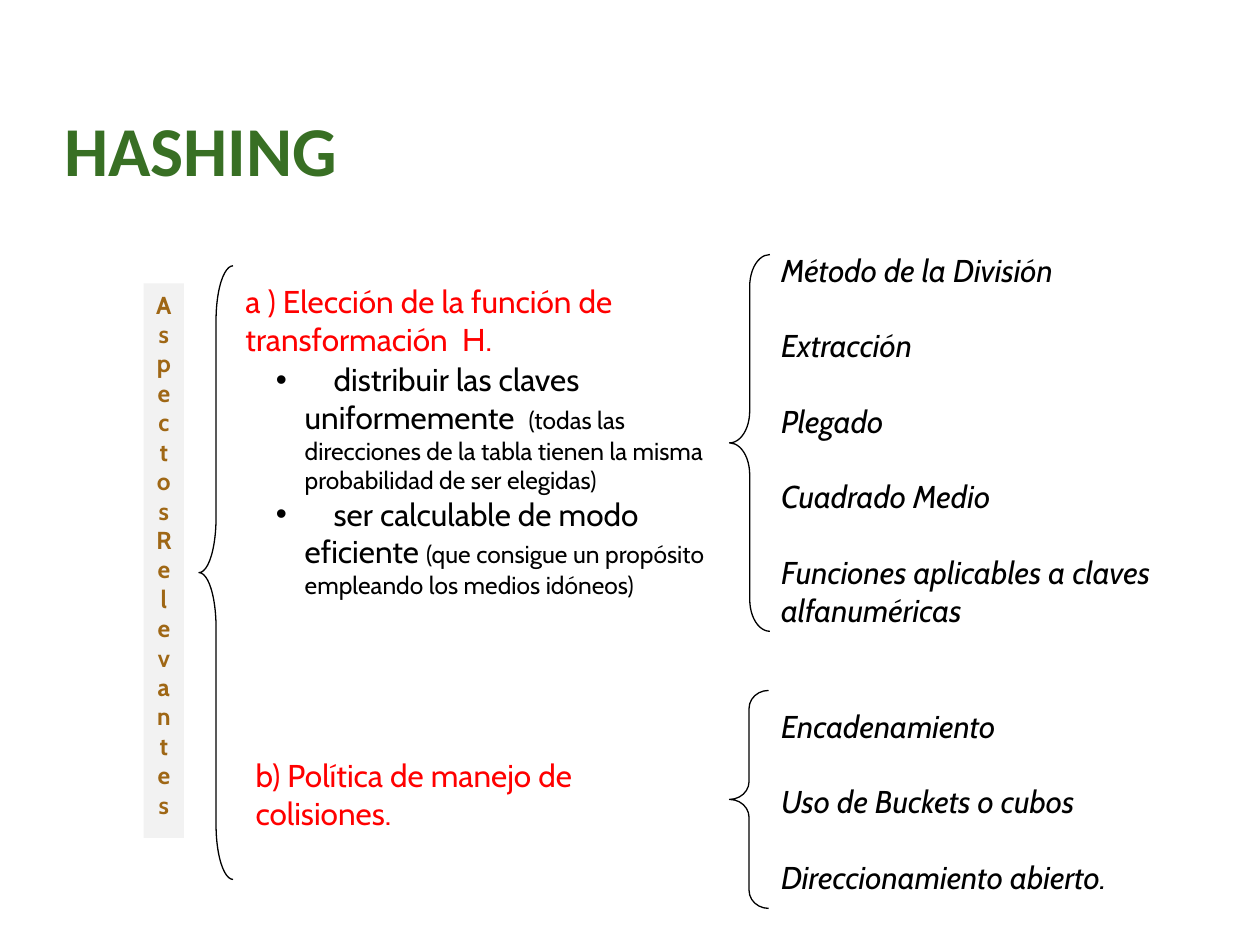
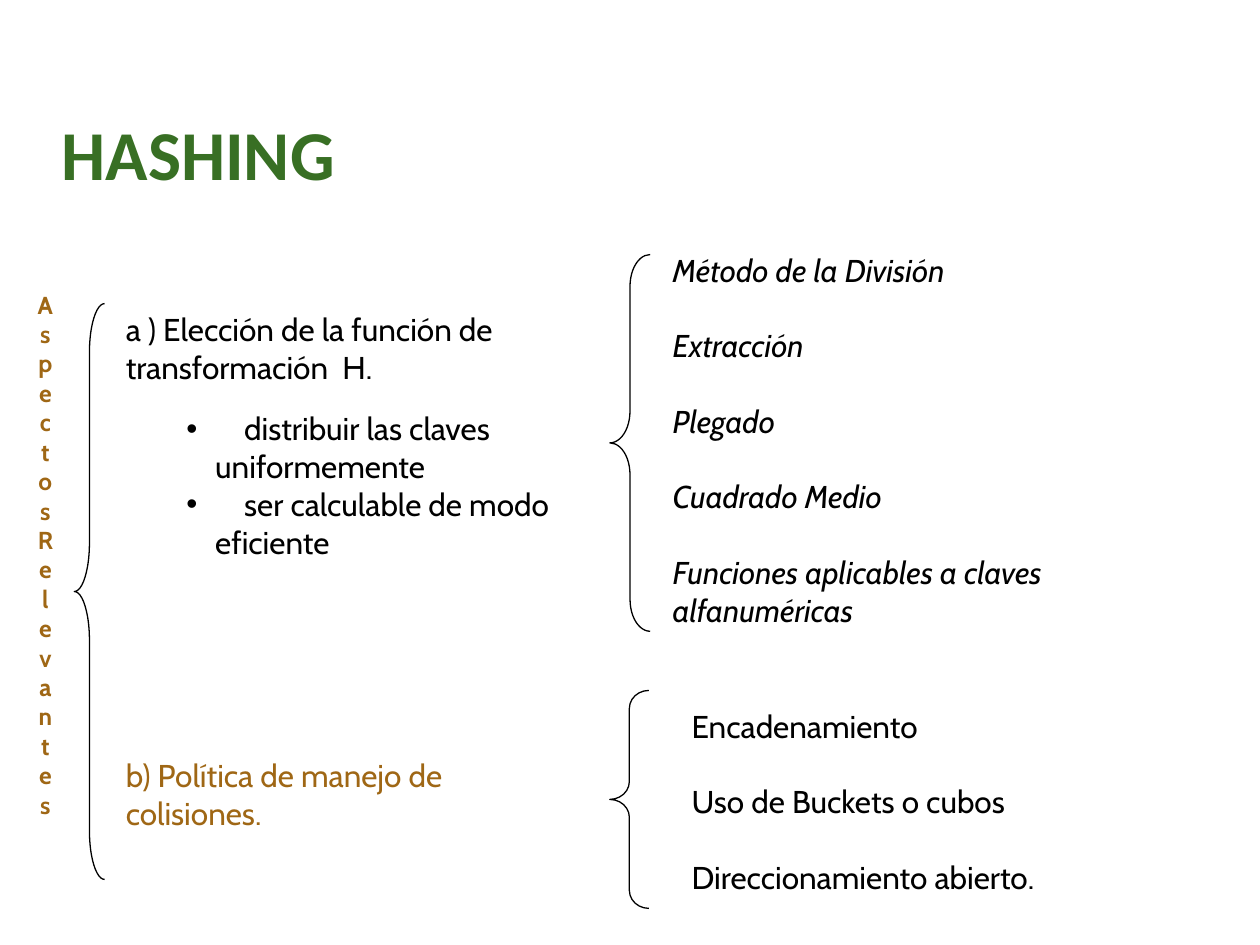
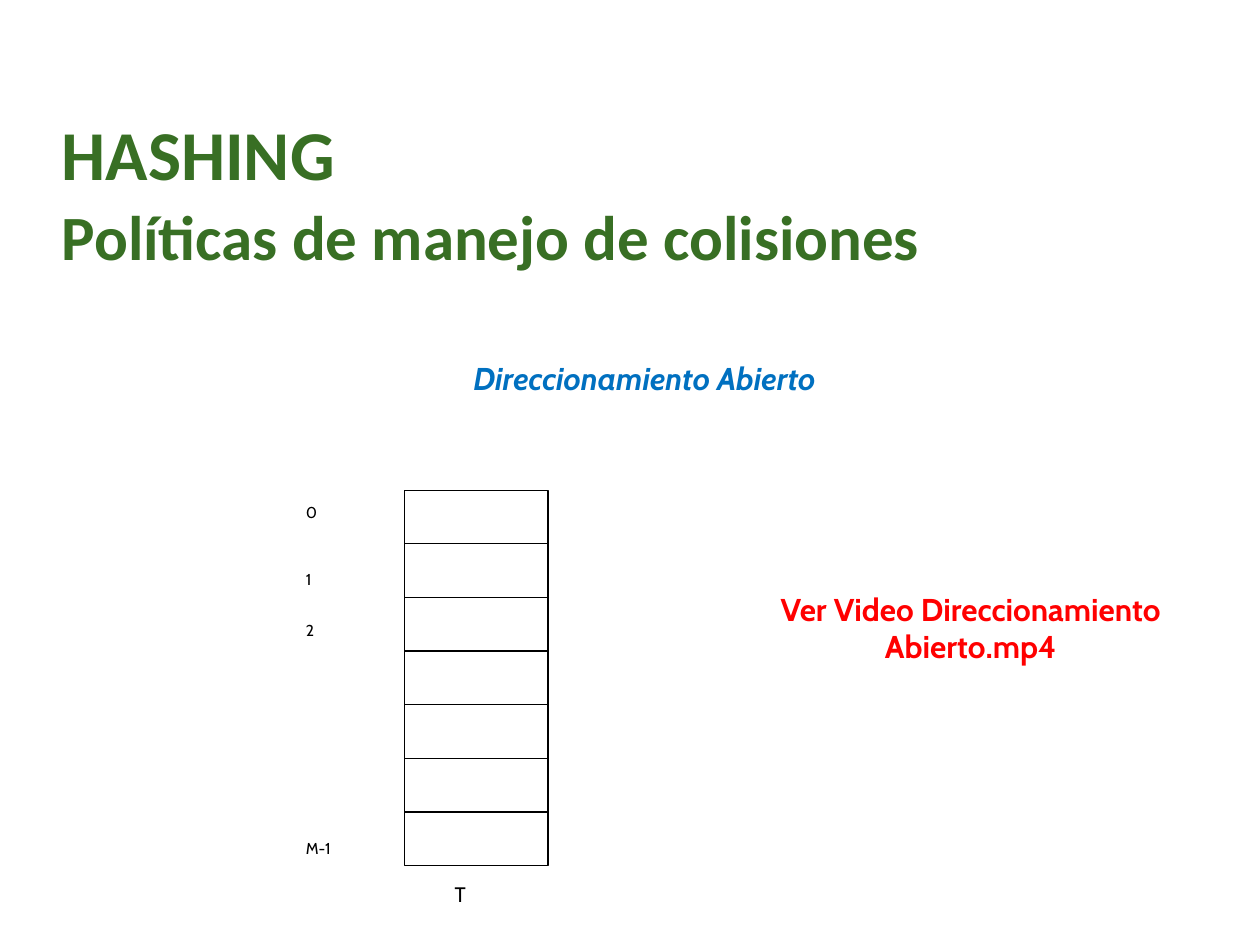
from lxml.etree import SubElement
from pptx import Presentation
from pptx.dml.color import RGBColor
from pptx.enum.shapes import MSO_CONNECTOR, MSO_SHAPE
from pptx.enum.text import MSO_ANCHOR, MSO_AUTO_SIZE, PP_ALIGN
from pptx.oxml.ns import qn
from pptx.util import Inches, Pt

# Shared style
BODY_FONT, TITLE_FONT = "Cabin", "Calibri"
GREEN, BROWN, RED, BLUE = "386F24", "9F6715", "FF0000", "0070C0"
BLACK, GREY = "000000", "F2F2F2"
LIST_GAP = 21.6

# Wording used on both outline slides
ASPECTS = ["Aspectos", "Relevantes"]
CHOICE = "a ) Elección de la función de transformación  H."
POLICY = "b) Política de manejo de colisiones."
METHODS = ["Método de la División", "Extracción", "Plegado", "Cuadrado Medio",
           "Funciones aplicables a claves alfanuméricas"]
POLICIES = ["Encadenamiento", "Uso de Buckets o cubos", "Direccionamiento abierto."]


def color(value):
    return RGBColor.from_string(value)


def inches(box):
    return [Inches(v) for v in box]


def add_run(p, text, size, font=BODY_FONT, fill=BLACK, bold=False, italic=False):
    r = p.add_run()
    r.text = text
    r.font.name, r.font.size = font, Pt(size)
    r.font.bold, r.font.italic = bold, italic
    r.font.color.rgb = color(fill)


def set_bullet(p):
    """Hanging bullet; tab stops set the first line in further than the rest."""
    pPr = p._p.get_or_add_pPr()
    pPr.set("marL", str(Inches(0.23)))
    pPr.set("indent", str(-Inches(0.23)))
    SubElement(pPr, qn("a:buFont"), typeface="Arial")
    SubElement(pPr, qn("a:buChar"), char="•")
    tabs = SubElement(pPr, qn("a:tabLst"))
    for pos in (0.22, 0.46):
        SubElement(tabs, qn("a:tab"), pos=str(Inches(pos)), algn="l")


def add_text(shapes, box, paragraphs, size=18, align=PP_ALIGN.LEFT, gap=0,
             bullet=False, back=None, **fmt):
    """Each paragraph is a string or a list of (text, size) runs."""
    sp = shapes.add_textbox(*inches(box))
    if back:
        sp.fill.solid()
        sp.fill.fore_color.rgb = color(back)
    tf = sp.text_frame
    tf.word_wrap = True
    for i, runs in enumerate(paragraphs):
        p = tf.add_paragraph() if i else tf.paragraphs[0]
        p.alignment = align
        if i and gap:
            p.space_before = Pt(gap)
        if bullet:
            set_bullet(p)
        for text, run_size in [(runs, size)] if isinstance(runs, str) else runs:
            add_run(p, text, run_size, **fmt)
    return sp


def add_title(s, box, subtitle=None):
    sp = s.shapes.title
    sp.left, sp.top, sp.width, sp.height = inches(box)
    tf = sp.text_frame
    tf.margin_left = tf.margin_right = tf.margin_top = tf.margin_bottom = 0
    tf.vertical_anchor = MSO_ANCHOR.BOTTOM
    tf.auto_size = MSO_AUTO_SIZE.NONE
    lines = [("HASHING", 40)] + ([(subtitle, 36)] if subtitle else [])
    for i, (text, size) in enumerate(lines):
        p = tf.add_paragraph() if i else tf.paragraphs[0]
        p.alignment = PP_ALIGN.LEFT
        if i:
            p.space_before = Pt(2)
        add_run(p, text, size, font=TITLE_FONT, fill=GREEN, bold=True)


def add_outline(shapes, kind, box):
    sp = shapes.add_shape(kind, *inches(box))
    sp.shadow.inherit = False
    sp.fill.background()
    sp.line.color.rgb = color(BLACK)
    sp.line.width = Pt(0.75)
    return sp


def add_brace(s, box, curve):
    sp = add_outline(s.shapes, MSO_SHAPE.LEFT_BRACE, box)
    sp.adjustments[0], sp.adjustments[1] = curve, 0.5


def add_rule(shapes, x1, x2, y):
    c = shapes.add_connector(MSO_CONNECTOR.STRAIGHT, *inches((x1, y, x2, y)))
    c.line.color.rgb = color(BLACK)
    c.line.width = Pt(0.75)
    SubElement(c._element.spPr, qn("a:effectLst"))


def add_aspects(s, left, back=None):
    add_text(s.shapes, (left, 2.25, 0.32, 4.4), ASPECTS, size=14,
             align=PP_ALIGN.CENTER, back=back, fill=BROWN, bold=True)


def add_options(s, brace_left, methods_left, policies_left, italic_policies):
    """Right-hand lists, each with its brace."""
    add_text(s.shapes, (methods_left, 1.94, 4.41, 3.1), METHODS, gap=LIST_GAP, italic=True)
    add_text(s.shapes, (policies_left, 5.56, 4.41, 1.6), POLICIES, gap=LIST_GAP,
             italic=italic_policies)
    add_brace(s, (brace_left, 2.02, 0.32, 2.99), 0.79)
    add_brace(s, (brace_left, 5.48, 0.31, 1.73), 0.46)


def build_detailed_outline(s):
    add_title(s, (0.51, 0.84, 9.03, 0.67))
    add_aspects(s, 1.14, back=GREY)
    add_text(s.shapes, (1.85, 2.19, 3.86, 0.7), [CHOICE], fill=RED)
    add_text(s.shapes, (1.93, 5.95, 3.23, 0.7), [POLICY], fill=RED)
    add_text(s.shapes, (2.09, 2.81, 3.62, 2.17), [
        [("\tdistribuir las claves uniformemente  ", 18),
         ("(todas las direcciones de la tabla tienen la misma probabilidad "
          "de ser elegidas)", 14)],
        [("\tser calculable de modo eficiente ", 18),
         ("(que consigue un propósito empleando los medios idóneos)", 14)],
    ], bullet=True)
    add_options(s, 5.79, 6.1, 6.1, italic_policies=True)
    add_brace(s, (1.58, 2.11, 0.27, 4.87), 1.61)


def build_short_outline(s):
    add_title(s, (0.49, 0.87, 9.03, 0.67))
    add_aspects(s, 0.2)
    add_text(s.shapes, (0.9, 2.41, 3.86, 0.7), [CHOICE])
    add_text(s.shapes, (0.9, 5.95, 3.23, 0.7), [POLICY], fill=BROWN)
    add_text(s.shapes, (1.38, 3.2, 3.62, 1.45),
             ["\tdistribuir las claves uniformemente",
              "\tser calculable de modo eficiente"], bullet=True)
    add_options(s, 4.84, 5.24, 5.39, italic_policies=False)
    add_brace(s, (0.59, 2.41, 0.24, 4.57), 1.61)


def add_hash_table(s):
    """Table T: a frame cut into equal slots, with index labels."""
    left, top, width, height, slots = 3.21, 3.89, 1.14, 2.98, 7
    shapes = s.shapes.add_group_shape().shapes
    add_outline(shapes, MSO_SHAPE.RECTANGLE, (left, top, width, height))
    for i in range(1, slots):
        add_rule(shapes, left, left + width, top + i * height / slots)
    for label, y in (("0", 3.94), ("1", 4.47), ("2", 4.88), ("M-1", 6.61)):
        add_text(shapes, (2.33, y, 0.71, 0.27), [label], size=9)
    add_text(shapes, (3.51, 6.95, 0.71, 0.27), ["T"], size=12)


def build_open_addressing(s):
    add_title(s, (0.49, 0.76, 9.03, 1.41), "Políticas de manejo de colisiones")
    add_text(s.shapes, (2.16, 2.8, 5.91, 0.4), ["Direccionamiento Abierto"],
             align=PP_ALIGN.CENTER, fill=BLUE, bold=True, italic=True)
    add_hash_table(s)
    add_text(s.shapes, (5.92, 4.63, 3.57, 1.01), ["Ver Video Direccionamiento Abierto.mp4"],
             align=PP_ALIGN.CENTER, fill=RED, bold=True)


def main():
    prs = Presentation()
    prs.slide_width, prs.slide_height = Inches(10), Inches(7.5)
    title_only = prs.slide_layouts[5]
    for build in (build_detailed_outline, build_short_outline, build_open_addressing):
        build(prs.slides.add_slide(title_only))
    prs.save("out.pptx")


if __name__ == "__main__":
    main()
